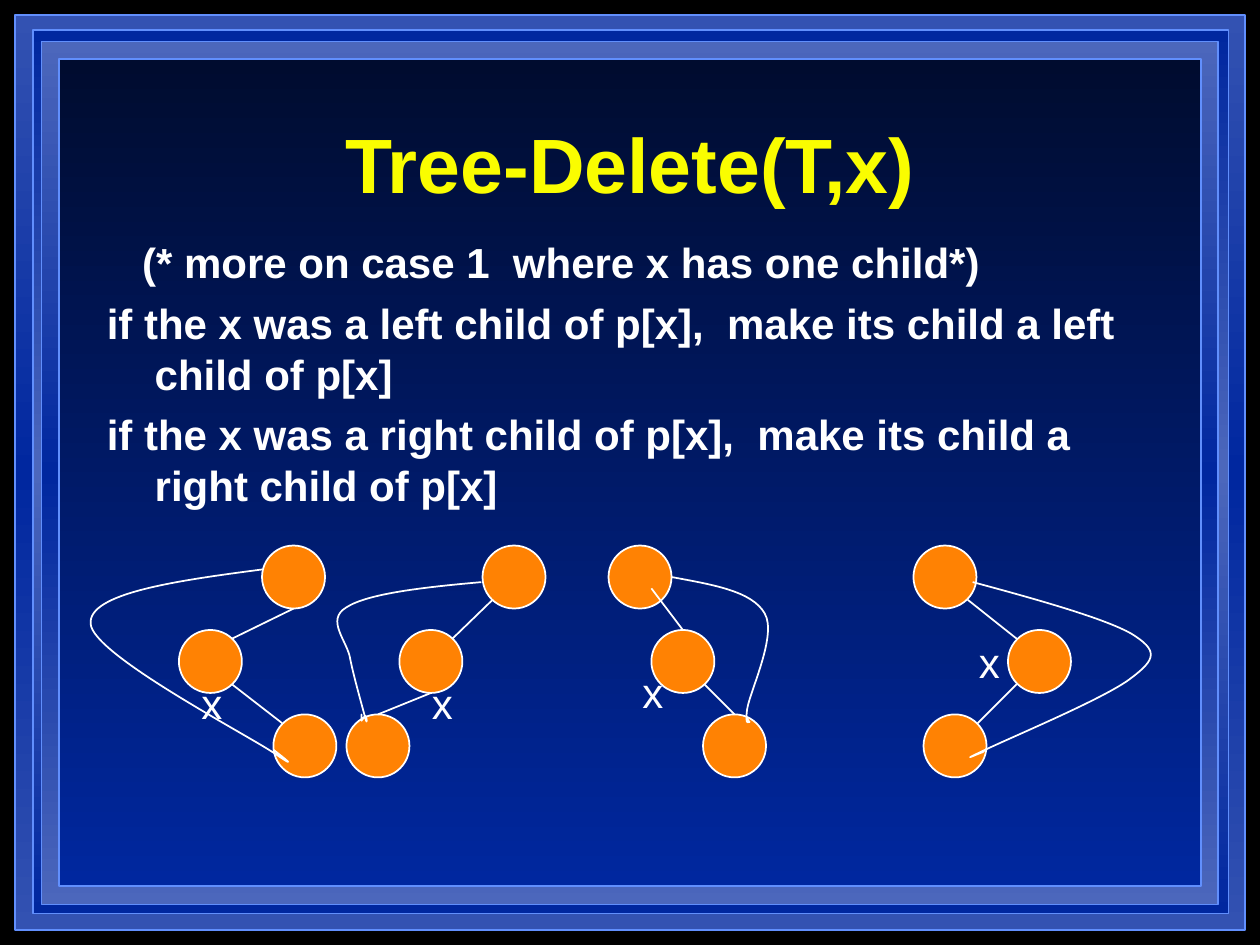
from copy import deepcopy
from lxml import etree
from pptx import Presentation, util as u
from pptx.dml.color import RGBColor
from pptx.enum import shapes, text
from pptx.oxml.ns import qn

BLACK = RGBColor(0, 0, 0)
WHITE = RGBColor(255, 255, 255)
YELLOW = RGBColor(0xFA, 0xFD, 0x00)
ORANGE = RGBColor(0xFF, 0x82, 0x03)
EDGE_BLUE = RGBColor(0x61, 0x8F, 0xFD)
MID_BLUE = RGBColor(0x33, 0x52, 0xB2)
PALE_BLUE = RGBColor(0x4C, 0x67, 0xBC)
DEEP_BLUE = RGBColor(0x00, 0x27, 0x9F)
NIGHT_BLUE = RGBColor(0x00, 0x0C, 0x2F)

FRAMES = [
    ((0.12, 0.12, 9.76, 7.26), (MID_BLUE, DEEP_BLUE, MID_BLUE)),
    ((0.26, 0.24, 9.49, 7.01), (DEEP_BLUE, PALE_BLUE, DEEP_BLUE)),
    ((0.33, 0.33, 9.34, 6.85), (PALE_BLUE, DEEP_BLUE, PALE_BLUE)),
    ((0.47, 0.47, 9.06, 6.56), (NIGHT_BLUE, DEEP_BLUE)),
]
TITLE = "Tree-Delete(T,x)"
RULES = [
    ("(* more on case 1  where x has one child*)", -0.1),
    ("if the x was a left child of p[x],  make its child a left child of p[x]", -0.38),
    ("if the x was a right child of p[x],  make its child a right child of p[x]", -0.38),
]
NODE_SIZE = 0.5
NODE_TOPS = (4.33, 5, 5.67)
TREES = [
    {"node_lefts": (2.08, 1.42, 2.17), "x_at": (1.5, 5.33),
     "edges": [(2.33, 4.83, 1.84, 5.07), (1.84, 5.43, 2.24, 5.74)],
     "start": (2.08, 4.52),
     "bends": [(1.39, 4.61, 0.7, 4.71, 0.72, 4.95), (0.73, 5.19, 1.94, 5.82, 2.18, 5.98),
               (2.43, 6.15, 2.17, 5.95, 2.17, 5.95)]},
    {"node_lefts": (3.83, 3.17, 2.75), "x_at": (3.33, 5.33),
     "edges": [(3.91, 4.76, 3.59, 5.07), (3.42, 5.5, 3, 5.67)],
     "start": (3.82, 4.62),
     "bends": [(3.37, 4.66, 2.92, 4.71, 2.75, 4.82), (2.58, 4.92, 2.76, 5.09, 2.78, 5.23),
               (2.81, 5.38, 2.88, 5.62, 2.9, 5.7), (2.92, 5.77, 2.91, 5.68, 2.9, 5.68),
               (2.89, 5.69, 2.87, 5.72, 2.87, 5.72), (2.87, 5.67), (2.87, 5.7)]},
    {"node_lefts": (4.83, 5.17, 5.58), "x_at": (5, 5.24),
     "edges": [(5.17, 4.67, 5.42, 5), (5.59, 5.43, 5.83, 5.67)],
     "start": (5.33, 4.58),
     "bends": [(5.65, 4.64, 5.97, 4.69, 6.07, 4.87), (6.17, 5.04, 5.95, 5.49, 5.93, 5.63),
               (5.91, 5.78, 5.95, 5.72, 5.95, 5.73), (5.95, 5.74, 5.93, 5.7, 5.93, 5.7)]},
    {"node_lefts": (7.25, 8, 7.33), "x_at": (7.67, 5),
     "edges": [(7.68, 4.76, 8.07, 5.07), (8.07, 5.43, 7.76, 5.74)],
     "start": (7.72, 4.62),
     "bends": [(8.24, 4.76, 8.77, 4.91, 8.98, 5.03), (9.19, 5.16, 9.18, 5.23, 8.98, 5.38),
               (8.78, 5.54, 7.98, 5.87, 7.78, 5.97), (7.59, 6.06, 7.79, 5.97, 7.8, 5.97),
               (7.81, 5.96, 7.82, 5.95, 7.82, 5.95)]},
]


def inches(values):
    return [u.Inches(value) for value in values]


def write(paragraph, words, size=24, color=WHITE, bold=False, align=text.PP_ALIGN.LEFT,
          margin=0, indent=0, before=0):
    paragraph.text = words
    paragraph.alignment = align
    paragraph.space_before = u.Pt(before)
    props = paragraph._p.get_or_add_pPr()
    props.set("marL", str(u.Inches(margin)))
    props.set("indent", str(u.Inches(indent)))
    font = paragraph.runs[0].font
    font.name, font.size, font.bold = "Arial", u.Pt(size), bold
    font.color.rgb = color


def outline(shape, color=WHITE):
    shape.line.color.rgb = color
    shape.line.width = u.Pt(1)


def add_frame(slide, box, colors):
    frame = slide.shapes.add_shape(shapes.MSO_SHAPE.RECTANGLE, *inches(box))
    frame.shadow.inherit = False
    outline(frame, EDGE_BLUE)
    frame.fill.gradient()
    frame.fill.gradient_angle = 270
    stop_list = frame._element.spPr.find(".//" + qn("a:gsLst"))
    if len(colors) == 3:
        stop_list.insert(1, deepcopy(stop_list[0]))
    for index, (stop, color) in enumerate(zip(frame.fill.gradient_stops, colors)):
        stop.position = index / (len(colors) - 1)
        stop.color.rgb = color


def add_node(slide, left, top):
    node = slide.shapes.add_shape(
        shapes.MSO_SHAPE.OVAL, *inches((left, top, NODE_SIZE, NODE_SIZE)))
    node.shadow.inherit = False
    node.fill.solid()
    node.fill.fore_color.rgb = ORANGE
    outline(node)


def add_edge(slide, ends):
    edge = slide.shapes.add_connector(shapes.MSO_CONNECTOR.STRAIGHT, *inches(ends))
    outline(edge)
    etree.SubElement(edge._element.spPr, qn("a:effectLst"))


def add_new_link(slide, start, bends):
    builder = slide.shapes.build_freeform(*inches(start))
    for bend in bends:
        coords = inches(bend)
        builder.add_line_segments(list(zip(coords[::2], coords[1::2])), close=False)
    link = builder.convert_to_shape()
    link.shadow.inherit = False
    link.fill.background()
    outline(link)
    segments = iter(link._element.spPr.findall(".//" + qn("a:lnTo")))
    for bend in bends:
        first = next(segments)
        if len(bend) == 6:
            first.addprevious(curve := etree.Element(qn("a:cubicBezTo")))
            for segment in (first, next(segments), next(segments)):
                curve.append(segment[0])
                segment.getparent().remove(segment)


def add_text_frame(slide, box):
    frame = slide.shapes.add_textbox(*inches(box)).text_frame
    frame.word_wrap = True
    return frame


def main():
    deck = Presentation()
    deck.slide_width, deck.slide_height = inches((10, 7.5))
    slide = deck.slides.add_slide(deck.slide_layouts[5])
    slide.background.fill.solid()
    slide.background.fill.fore_color.rgb = BLACK

    for box, colors in FRAMES:
        add_frame(slide, box, colors)

    title = slide.shapes.title
    slide.shapes._spTree.append(title._element)
    title.left, title.top, title.width, title.height = inches((0.75, 0.67, 8.5, 1.25))
    title.text_frame.vertical_anchor = text.MSO_ANCHOR.MIDDLE
    write(title.text_frame.paragraphs[0], TITLE, size=44, color=YELLOW, bold=True,
          align=text.PP_ALIGN.CENTER)

    body = add_text_frame(slide, (0.75, 1.83, 8.5, 4.5))
    for index, (rule, indent) in enumerate(RULES):
        paragraph = body.add_paragraph() if index else body.paragraphs[0]
        write(paragraph, rule, bold=True, margin=0.38, indent=indent,
              before=6 if index else 0)

    for tree in TREES:
        for left, top in zip(tree["node_lefts"], NODE_TOPS):
            add_node(slide, left, top)
    for tree in TREES:
        for ends in tree["edges"]:
            add_edge(slide, ends)
        add_new_link(slide, tree["start"], tree["bends"])
    for tree in TREES:
        label = add_text_frame(slide, (*tree["x_at"], 0.42, 0.5))
        write(label.paragraphs[0], "x")

    deck.save("out.pptx")


if __name__ == "__main__":
    main()
